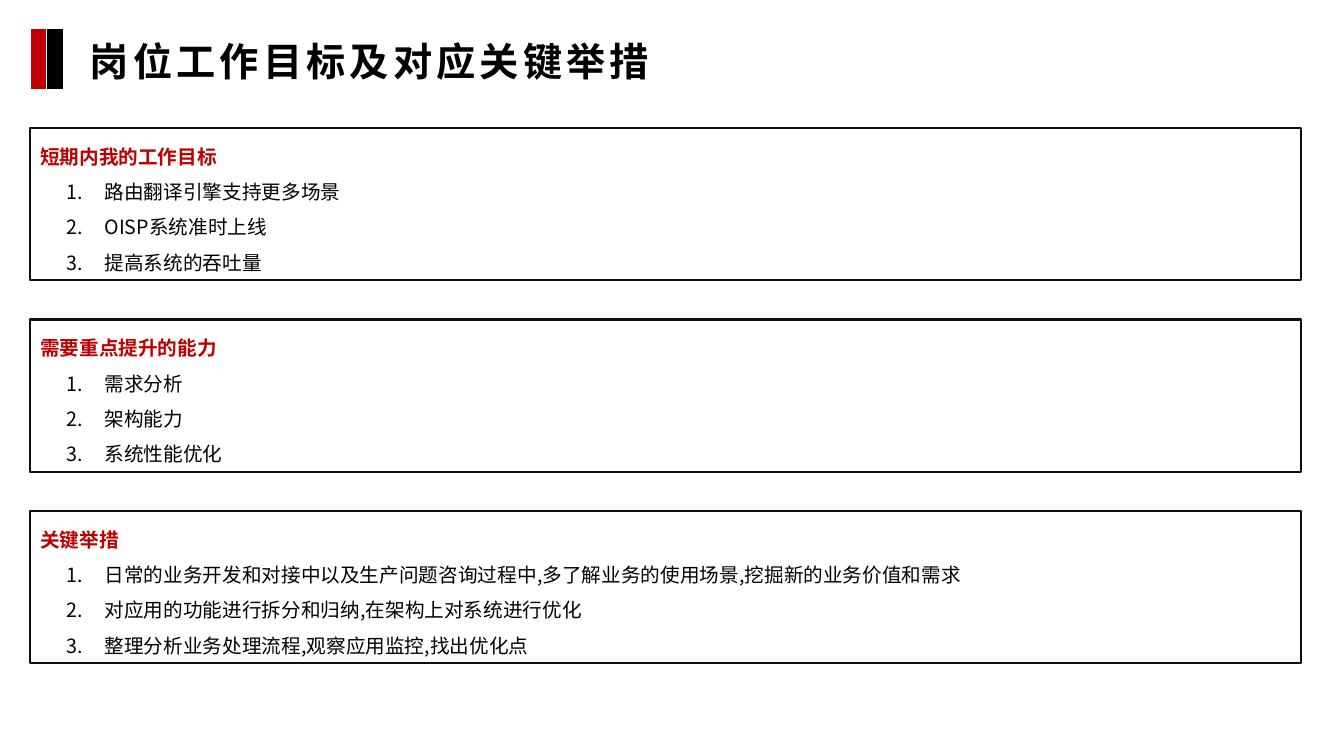
from lxml.etree import SubElement
from pptx import Presentation
from pptx.dml.color import RGBColor
from pptx.enum.shapes import MSO_SHAPE
from pptx.enum.text import MSO_ANCHOR, MSO_AUTO_SIZE, PP_ALIGN
from pptx.oxml.ns import qn
from pptx.util import Inches, Pt

RED = RGBColor(0xC0, 0x00, 0x00)
BLACK = RGBColor(0x00, 0x00, 0x00)
WHITE = RGBColor(0xFF, 0xFF, 0xFF)
BORDER = RGBColor(0x0D, 0x0D, 0x0D)
FONT = "Noto Sans CJK SC"

TITLE = "岗位工作目标及对应关键举措"
PANELS = [
    ("短期内我的工作目标",
     ["路由翻译引擎支持更多场景", "OISP系统准时上线", "提高系统的吞吐量"]),
    ("需要重点提升的能力",
     ["需求分析", "架构能力", "系统性能优化"]),
    ("关键举措",
     ["日常的业务开发和对接中以及生产问题咨询过程中,多了解业务的使用场景,挖掘新的业务价值和需求".replace(",", ","),
      "对应用的功能进行拆分和归纳,在架构上对系统进行优化".replace(",", ","),
      "整理分析业务处理流程,观察应用监控,找出优化点".replace(",", ",")]),
]


def add_run(paragraph, text, size, color, bold=False):
    """Add one formatted run and return it."""
    run = paragraph.add_run()
    run.text = text
    run.font.size = Pt(size)
    run.font.bold = bold
    run.font.color.rgb = color
    run.font.name = FONT
    SubElement(run.font._element, qn("a:ea"), typeface=FONT)
    return run


def add_rectangle(slide, left, top, width, height, line_color, line_width):
    """Add an unfilled rectangle without shadow, measured in inches."""
    shape = slide.shapes.add_shape(
        MSO_SHAPE.RECTANGLE, Inches(left), Inches(top), Inches(width), Inches(height))
    shape.shadow.inherit = False
    shape.fill.background()
    shape.line.color.rgb = line_color
    shape.line.width = Pt(line_width)
    return shape


def number_paragraph(paragraph):
    """Give a paragraph automatic numbering with a hanging indent."""
    properties = paragraph._p.get_or_add_pPr()
    properties.set("marL", str(Inches(0.64)))
    properties.set("indent", str(Inches(-0.38)))
    SubElement(properties, qn("a:buFont"), typeface="+mj-lt")
    SubElement(properties, qn("a:buAutoNum"), type="arabicPeriod")


def add_header(slide, left, top, width, height):
    """Place the two colour bars and the slide title."""
    for index, color in enumerate((RED, BLACK)):
        bar = add_rectangle(slide, left + index * 0.16, top, 0.17, height, WHITE, 0.75)
        bar.fill.solid()
        bar.fill.fore_color.rgb = color
    title = slide.shapes.title
    title.left, title.top = Inches(left + 0.49), Inches(top + 0.04)
    title.width, title.height = Inches(width - 0.49), Inches(height - 0.04)
    frame = title.text_frame
    frame.word_wrap = True
    frame.auto_size = MSO_AUTO_SIZE.NONE
    frame.vertical_anchor = MSO_ANCHOR.MIDDLE
    frame.margin_top = frame.margin_bottom = 0
    paragraph = frame.paragraphs[0]
    paragraph.alignment = PP_ALIGN.LEFT
    paragraph.line_spacing = 1.0
    run = add_run(paragraph, TITLE, 28, BLACK, bold=True)
    run.font._element.set("spc", "300")


def add_panel(slide, left, top, width, height, heading, items):
    """Place a bordered panel with a red heading and a numbered list."""
    panel = add_rectangle(slide, left, top, width, height, BORDER, 1.5)
    frame = panel.text_frame
    frame.word_wrap = True
    frame.auto_size = MSO_AUTO_SIZE.SHAPE_TO_FIT_TEXT
    frame.vertical_anchor = MSO_ANCHOR.TOP
    for index, text in enumerate([heading, *items]):
        paragraph = frame.add_paragraph() if index else frame.paragraphs[0]
        paragraph.alignment = PP_ALIGN.LEFT
        paragraph.line_spacing = 1.5
        if index:
            number_paragraph(paragraph)
            add_run(paragraph, text, 14, BLACK)
        else:
            add_run(paragraph, text, 14, RED, bold=True)


def build_slide(presentation):
    """Build the goals slide from its header and three stacked panels."""
    slide = presentation.slides.add_slide(presentation.slide_layouts[5])
    add_header(slide, 0.3, 0.28, 12.72, 0.61)
    for index, (heading, items) in enumerate(PANELS):
        add_panel(slide, 0.3, 1.27 + index * 1.9, 12.6, 1.51, heading, items)


presentation = Presentation()
presentation.slide_width = Inches(13.33)
presentation.slide_height = Inches(7.5)
build_slide(presentation)
presentation.save("out.pptx")
